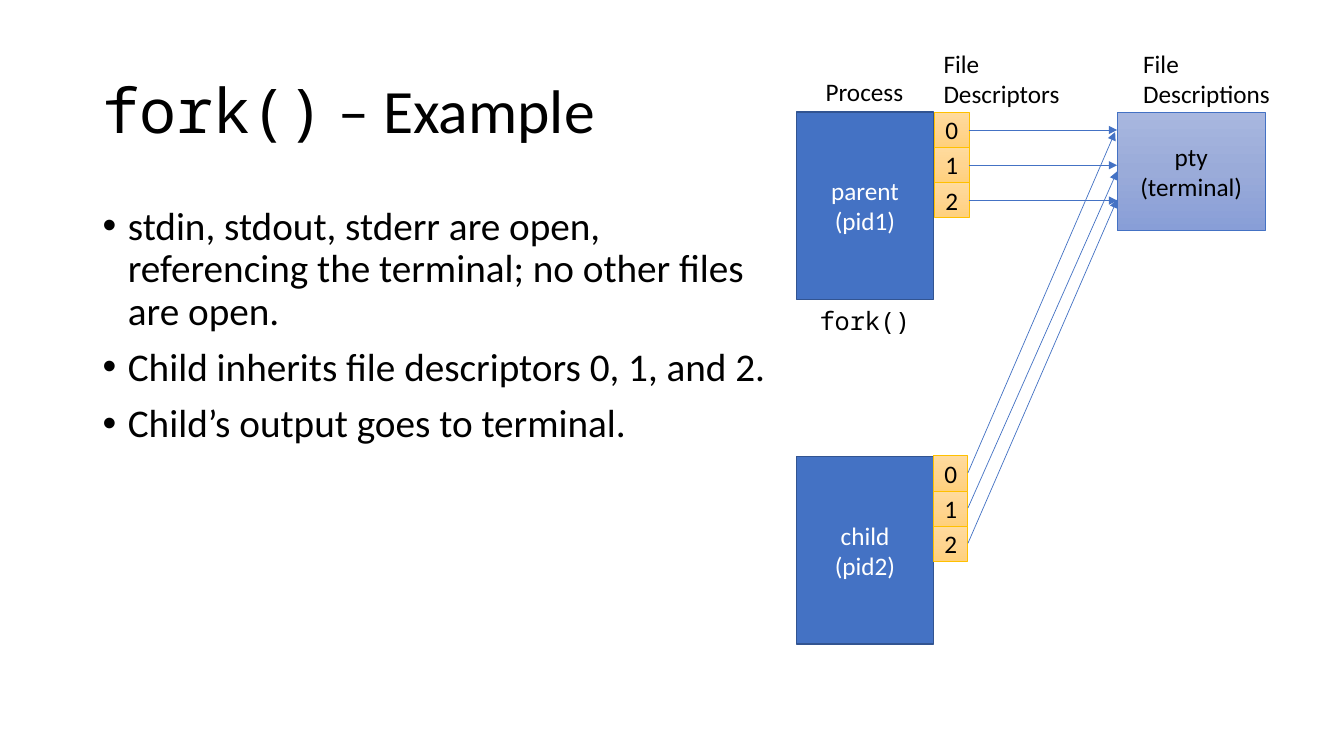
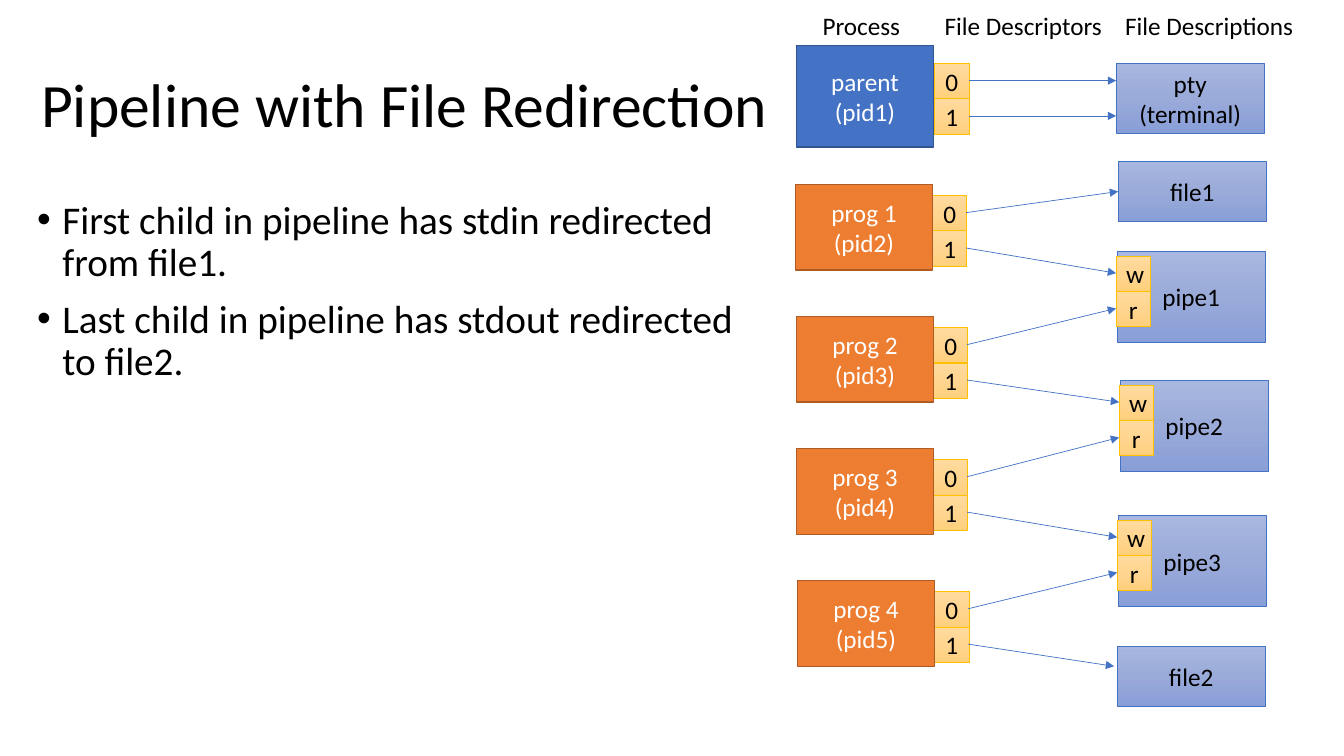
from copy import deepcopy

from lxml import etree
from pptx import Presentation
from pptx import util as u
from pptx.dml.color import RGBColor
from pptx.enum import shapes, text
from pptx.oxml import ns

BLACK = RGBColor(0x00, 0x00, 0x00)
WHITE = RGBColor(0xFF, 0xFF, 0xFF)
BLUE = RGBColor(0x44, 0x72, 0xC4)
DARK_BLUE = RGBColor(0x32, 0x54, 0x91)
ORANGE = RGBColor(0xED, 0x7D, 0x31)
DARK_ORANGE = RGBColor(0xAF, 0x5C, 0x24)
GOLD = RGBColor(0xFF, 0xC0, 0x00)
GOLD_SHADES = [RGBColor(0xFF, 0xDB, 0x9E), RGBColor(0xFF, 0xD5, 0x90), RGBColor(0xFF, 0xD0, 0x7C)]
BLUE_SHADES = [RGBColor(0xA8, 0xB7, 0xDF), RGBColor(0x9A, 0xAB, 0xD9), RGBColor(0x88, 0x9E, 0xD7)]

SANS = "Calibri"
MONO = "Noto Sans Mono"
PROCESS_WIDTH = 1.36
TARGET_WIDTH = 1.47
SLOT_WIDTH = 0.34
SLOT_HEIGHT = 0.35


def write_text(frame, lines, size=18, font=SANS, color=BLACK, align=None,
               anchor=text.MSO_ANCHOR.TOP, wrap=True, spacing=None, before=None, bullet=None):
    frame.word_wrap = wrap
    frame.vertical_anchor = anchor
    for index, line in enumerate(lines):
        para = frame.add_paragraph() if index else frame.paragraphs[0]
        para.alignment = align
        para.line_spacing = spacing
        para.space_before = before
        if bullet:
            properties = para._p.get_or_add_pPr()
            properties.set("marL", str(u.Inches(0.25)))
            properties.set("indent", str(u.Inches(-0.25)))
            etree.SubElement(properties, ns.qn("a:buFont"), typeface="Arial")
            etree.SubElement(properties, ns.qn("a:buChar"), char=bullet)
        for words, face in [(line, font)] if isinstance(line, str) else line:
            span = para.add_run()
            span.text = words
            span.font.size = u.Pt(size)
            span.font.name = face
            span.font.color.rgb = color


class Diagram:
    def __init__(self):
        self.deck = Presentation()
        self.deck.slide_width = u.Inches(13.33)
        self.deck.slide_height = u.Inches(7.5)
        self.page = None

    def add_page(self):
        self.page = self.deck.slides.add_slide(self.deck.slide_layouts[6])

    def text_box(self, left, top, width, height, lines, **style):
        box = self.page.shapes.add_textbox(
            u.Inches(left), u.Inches(top), u.Inches(width), u.Inches(height))
        write_text(box.text_frame, lines, **style)
        return box

    def title(self, left, top, line):
        self.text_box(left, top, 11.5, 1.45, [line], size=44, spacing=0.9,
                      anchor=text.MSO_ANCHOR.MIDDLE)

    def bullets(self, left, top, width, height, lines):
        self.text_box(left, top, width, height, lines, size=28, spacing=0.9,
                      before=u.Pt(10), bullet="\u2022")

    def label(self, left, top, width, *lines, font=SANS):
        box = self.text_box(left, top, width, 0.1 + 0.3 * len(lines), lines, font=font, wrap=False)
        box.text_frame.auto_size = text.MSO_AUTO_SIZE.SHAPE_TO_FIT_TEXT

    def block(self, left, top, width, height, lines, fill, edge, weight=0.5, color=BLACK):
        box = self.page.shapes.add_shape(
            shapes.MSO_SHAPE.RECTANGLE,
            u.Inches(left), u.Inches(top), u.Inches(width), u.Inches(height))
        box.shadow.inherit = False
        if isinstance(fill, list):
            box.fill.gradient()
            box.fill.gradient_angle = 270
            stops = box._element.spPr.find(".//" + ns.qn("a:gsLst"))
            stops.insert(1, deepcopy(stops[0]))
            for stop, shade, position in zip(box.fill.gradient_stops, fill, (0, 0.5, 1)):
                stop.color.rgb = shade
                stop.position = position
        else:
            box.fill.solid()
            box.fill.fore_color.rgb = fill
        box.line.color.rgb = edge
        box.line.width = u.Pt(weight)
        write_text(box.text_frame, lines, color=color, align=text.PP_ALIGN.CENTER,
                   anchor=text.MSO_ANCHOR.MIDDLE)

    def process(self, left, top, height, name, pid, fill=BLUE, edge=DARK_BLUE):
        self.block(left, top, PROCESS_WIDTH, height, [name, f"(pid{pid})"], fill, edge, 1, WHITE)

    def target(self, left, top, height, *lines):
        self.block(left, top, TARGET_WIDTH, height, lines, BLUE_SHADES, BLUE)

    def slots(self, left, top, names):
        for row, name in enumerate(names):
            self.block(left, top + row * SLOT_HEIGHT, SLOT_WIDTH, SLOT_HEIGHT, [name],
                       GOLD_SHADES, GOLD)

    def arrow(self, start, end):
        line = self.page.shapes.add_connector(
            shapes.MSO_CONNECTOR.STRAIGHT, *[u.Inches(value) for value in (*start, *end)])
        line.line.color.rgb = BLUE
        line.line.width = u.Pt(0.5)
        properties = line._element.spPr
        etree.SubElement(properties.find(ns.qn("a:ln")), ns.qn("a:tailEnd"), type="triangle")
        etree.SubElement(properties, ns.qn("a:effectLst"))


def build_fork(diagram):
    diagram.add_page()
    diagram.title(0.92, 0.4, [("fork()", MONO), (" \u2013 Example", SANS)])
    diagram.bullets(0.92, 2, 6.81, 4.76, [
        "stdin, stdout, stderr are open, referencing the terminal; no other files are open.",
        "Child inherits file descriptors 0, 1, and 2.",
        "Child\u2019s output goes to terminal.",
    ])
    diagram.label(8.09, 0.71, 0.98, "Process")
    diagram.label(9.26, 0.43, 1.36, "File", "Descriptors")
    diagram.label(11.24, 0.43, 1.47, "File", "Descriptions")
    diagram.label(8.03, 2.98, 1.11, "fork()", font=MONO)
    diagram.process(7.9, 1.11, 1.86, "parent", 1)
    diagram.process(7.9, 4.53, 1.86, "child", 2)
    diagram.target(11.08, 1.11, 1.18, "pty", "(terminal)")
    diagram.slots(9.27, 1.11, "012")
    diagram.slots(9.26, 4.52, "012")
    child_ends = [(11.06, 1.31), (11.08, 1.7), (11.08, 1.98)]
    for row, child_end in enumerate(child_ends):
        shift = row * SLOT_HEIGHT
        diagram.arrow((9.61, 1.29 + shift), (11.08, 1.29 + shift))
        diagram.arrow((9.6, 4.69 + shift), child_end)


def build_pipeline(diagram):
    diagram.add_page()
    diagram.title(0.31, 0.34, "Pipeline with File Redirection")
    diagram.bullets(0.27, 1.94, 7.41, 5.45, [
        "First child in pipeline has stdin redirected from file1.",
        "Last child in pipeline has stdout redirected to file2.",
    ])
    diagram.label(8.06, 0.05, 0.98, "Process")
    diagram.label(9.27, 0.05, 1.78, "File Descriptors")
    diagram.label(11.06, 0.05, 1.94, "File Descriptions")
    diagram.process(7.9, 0.45, 1.01, "parent", 1)
    diagram.slots(9.27, 0.63, "01")
    diagram.target(11.07, 0.63, 0.69, "pty", "(terminal)")
    for y in (0.8, 1.15):
        diagram.arrow((9.61, y), (11.07, y))
    diagram.target(11.09, 1.6, 0.6, "file1")
    diagram.target(11.08, 6.41, 0.6, "file2")

    inputs, outputs = [(11.09, 1.9)], []
    for number, (left, top) in enumerate([(11.08, 2.49), (11.11, 3.77), (11.09, 5.11)], 1):
        diagram.target(left, top, 0.91, f"pipe{number}")
        diagram.slots(left - 0.01, top + 0.05, "wr")
        outputs.append((left - 0.01, top + 0.22))
        inputs.append((left - 0.01, top + 0.57))
    outputs.append((11.05, 6.61))

    for index, left in enumerate([7.89, 7.9, 7.9, 7.91]):
        top = 1.83 + 1.31 * index
        diagram.slots(left + PROCESS_WIDTH, top + 0.11, "01")
        diagram.process(left, top, 0.85, f"prog {index + 1}", index + 2, ORANGE, DARK_ORANGE)
        diagram.arrow((left + 1.69, top + 0.28), inputs[index])
        diagram.arrow((left + 1.69, top + 0.63), outputs[index])


diagram = Diagram()
build_fork(diagram)
build_pipeline(diagram)
diagram.deck.save("out.pptx")
